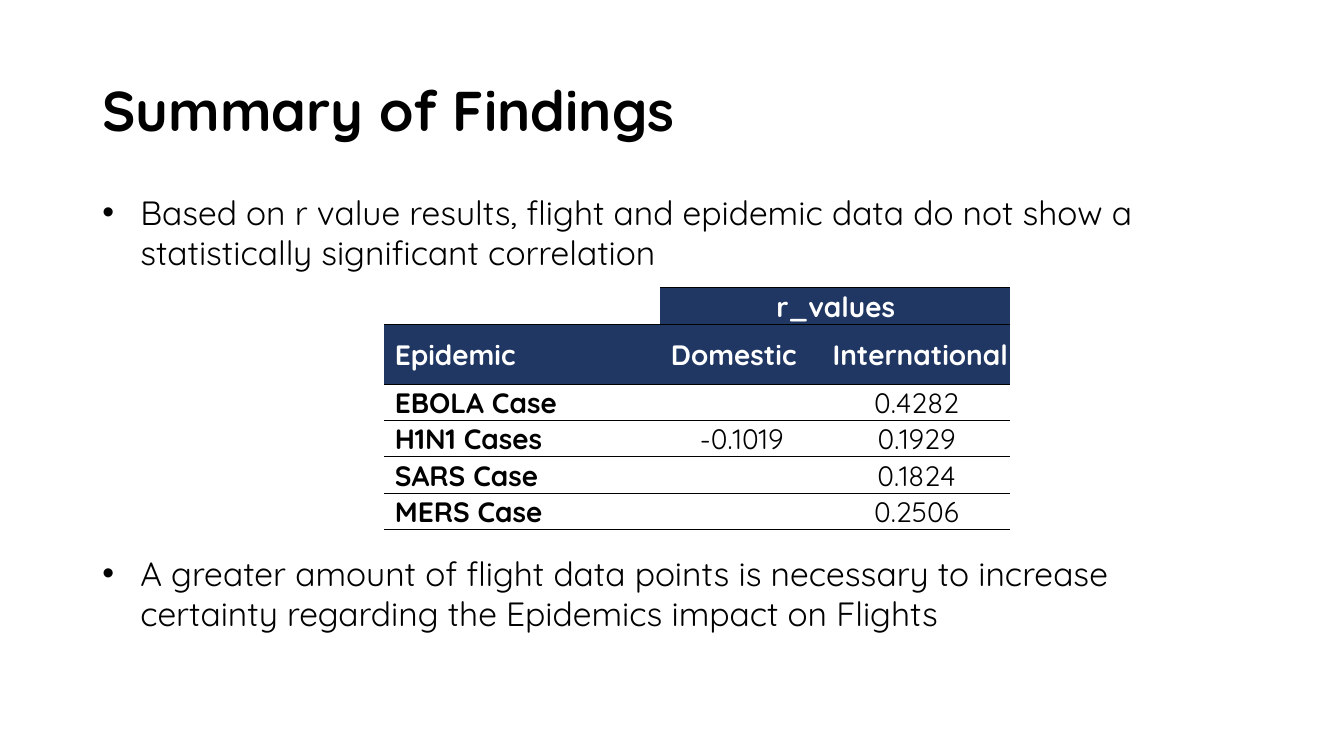
from lxml.etree import SubElement as Sub
from pptx import Presentation
from pptx.dml.color import RGBColor as RGB
from pptx.enum.text import MSO_ANCHOR as Anchor, MSO_AUTO_SIZE as Auto, PP_ALIGN as Align
from pptx.oxml.ns import qn
from pptx.util import Pt

PX = 9525
FONT = "Quicksand"
HUES = {"ink": "000000", "paper": "FFFFFF", "navy": "203764"}
PLAIN = "{2D5ABB26-0587-4C30-8999-92F81FD0307C}"

TITLE = "Summary of Findings"
POINTS = [
    ("Based on r value results, flight and epidemic data do not show a "
     "statistically significant correlation", 0),
    ("A greater amount of flight data points is necessary to increase "
     "certainty regarding the Epidemics impact on Flights", 200),
]
COLS = [263, 154, 179]
ROWS = [35, 57, 34, 34, 35, 34]
CELLS = [
    ["", "r_values", ""],
    ["Epidemic", "Domestic", "International"],
    ["EBOLA Case", "", "0.4282"],
    ["H1N1 Cases", "-0.1019", "0.1929"],
    ["SARS Case", "", "0.1824"],
    ["MERS Case", "", "0.2506"],
]


def px(*nums):
    return [n * PX for n in nums]


def write(para, text, size=20, hue="ink", bold=False, align=Align.LEFT, before=0, line=1.0):
    para.alignment = align
    para.space_before = Pt(before)
    para.line_spacing = line
    if not text:
        return
    run = para.add_run()
    run.text = text
    run.font.name = FONT
    run.font.size = Pt(size)
    run.font.bold = bold
    run.font.color.rgb = RGB.from_string(HUES[hue])


def rule(cell, side):
    line = Sub(cell._tc.get_or_add_tcPr(), qn("a:ln" + side), w=str(Pt(0.5)))
    fill = Sub(line, qn("a:solidFill"))
    Sub(fill, qn("a:srgbClr"), val=HUES["ink"])


class Page:
    def __init__(self, deck):
        self.slide = deck.slides.add_slide(deck.slide_layouts[1])

    def place(self, shape, box):
        shape.left, shape.top, shape.width, shape.height = px(*box)
        frame = shape.text_frame
        frame.word_wrap = True
        frame.auto_size = Auto.NONE
        return frame

    def title(self, text, box):
        frame = self.place(self.slide.shapes.title, box)
        frame.vertical_anchor = Anchor.MIDDLE
        write(frame.paragraphs[0], text, size=40, bold=True, line=0.9)

    def list(self, items, box):
        frame = self.place(self.slide.placeholders[1], box)
        for i, (text, gap) in enumerate(items):
            para = frame.add_paragraph() if i else frame.paragraphs[0]
            write(para, text, size=24, before=gap)

    def cell(self, cell, text, row, col):
        dark = row == 1 or (row == 0 and col > 0)
        label = row == 1 or col == 0
        if row or dark:
            rule(cell, "T")
        rule(cell, "B")
        cell.fill.solid()
        cell.fill.fore_color.rgb = RGB.from_string(HUES["navy" if dark else "paper"])
        cell.margin_left, cell.margin_top = px(10 if label else 1, 1)
        cell.margin_right = cell.margin_bottom = 0
        cell.vertical_anchor = Anchor.MIDDLE if dark else Anchor.BOTTOM
        write(cell.text_frame.paragraphs[0], text, hue="paper" if dark else "ink",
              bold=dark or label, align=Align.LEFT if label else Align.CENTER)

    def table(self, cells, left, top):
        box = px(left, top, sum(COLS), sum(ROWS))
        grid = self.slide.shapes.add_table(len(ROWS), len(COLS), *box).table
        grid.first_row = grid.horz_banding = False
        grid._tbl.tblPr.find(qn("a:tableStyleId")).text = PLAIN
        for col, wide in zip(grid.columns, px(*COLS)):
            col.width = wide
        for row, high in zip(grid.rows, px(*ROWS)):
            row.height = high
        for r, line in enumerate(cells):
            for c, text in enumerate(line):
                self.cell(grid.cell(r, c), text, r, c)
        grid.cell(0, 1).merge(grid.cell(0, 2))


def main():
    deck = Presentation()
    deck.slide_width, deck.slide_height = px(1280, 720)
    page = Page(deck)
    page.title(TITLE, (88, 38, 1104, 139))
    page.list(POINTS, (88, 178, 1067, 475))
    page.table(CELLS, 366, 274)
    deck.save("out.pptx")


if __name__ == "__main__":
    main()
